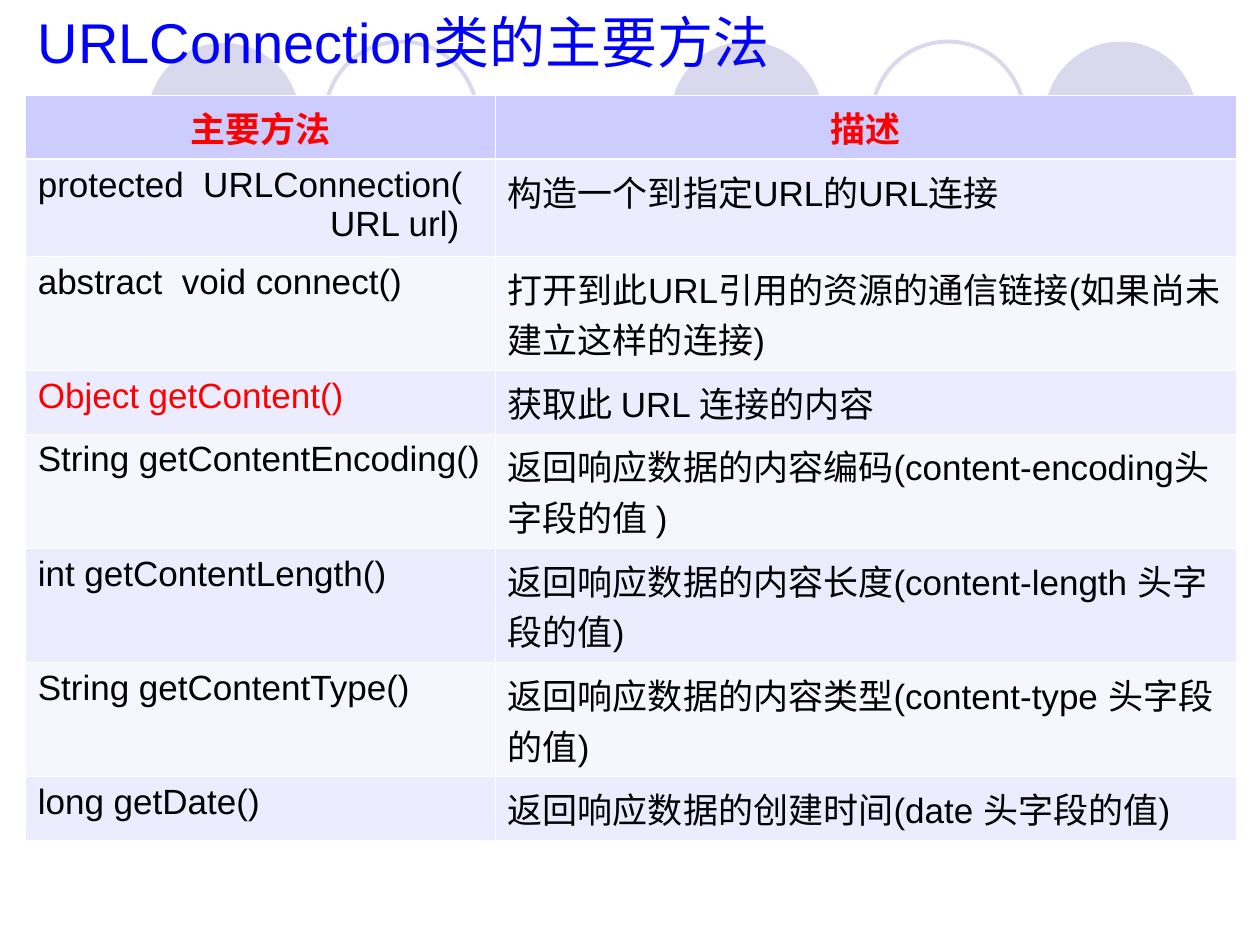
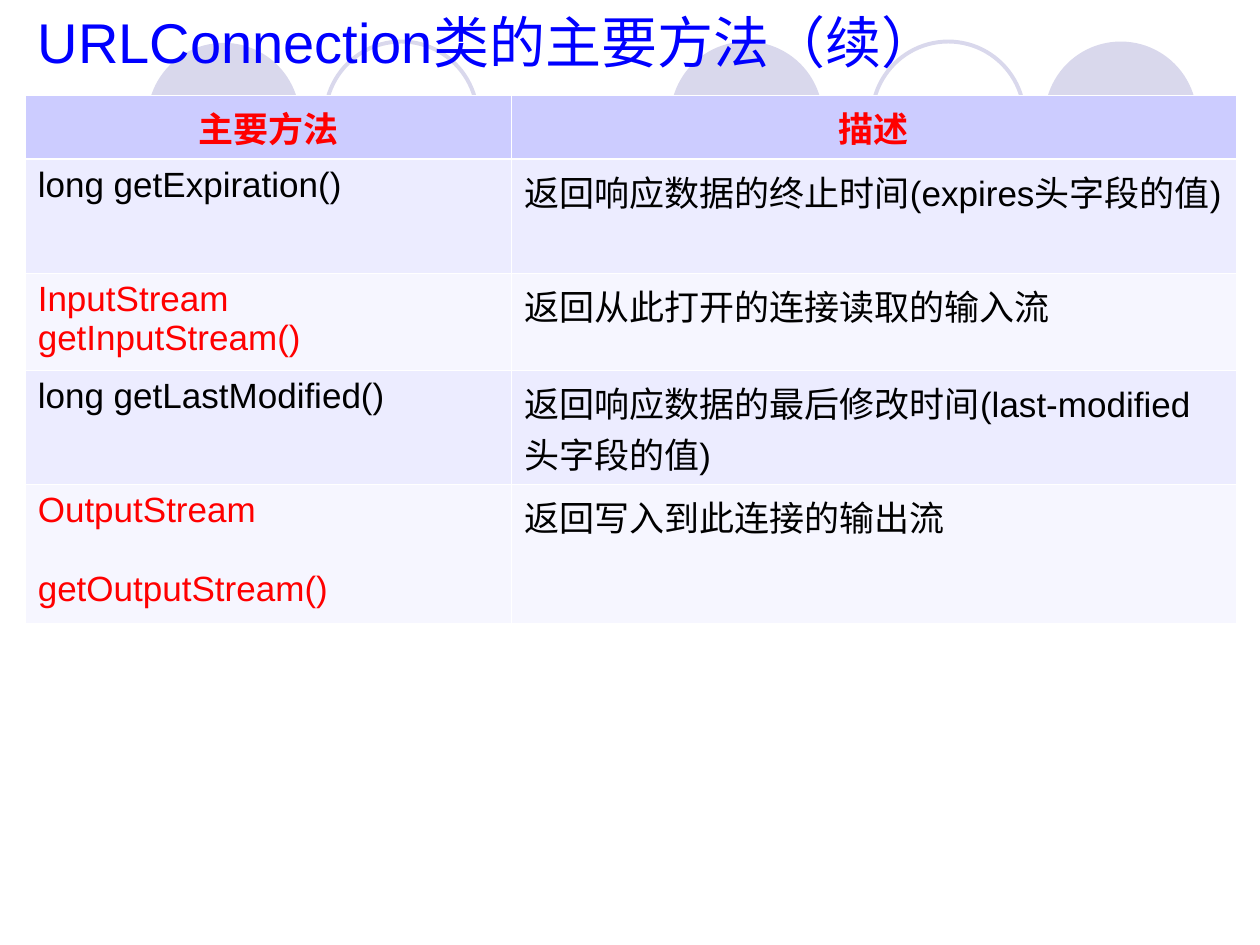
from lxml import etree
from pptx import Presentation
from pptx.dml.color import RGBColor
from pptx.enum.shapes import MSO_SHAPE
from pptx.enum.text import MSO_ANCHOR, MSO_AUTO_SIZE, PP_ALIGN
from pptx.oxml.ns import qn
from pptx.util import Inches, Pt

OVAL = MSO_SHAPE.OVAL
MIDDLE = MSO_ANCHOR.MIDDLE
NO_AUTOFIT = MSO_AUTO_SIZE.NONE
LEFT, CENTER = PP_ALIGN.LEFT, PP_ALIGN.CENTER

BLUE, RED, BLACK, WHITE = "0000FF", "FF0000", "000000", "FFFFFF"
CIRCLE, HEADER, BANDS = "D9D8EC", "CCCCFF", ("ECECFF", "F6F6FF")
FONT = "Arial"
SIDE, CONTENT_WIDTH = 0.2, 9.61
ONE_LINE, TWO_LINES, THREE_LINES = 0.43, 0.77, 1.1
THIN, THICK = 0.45, 1.47
HEADINGS = ("主要方法", "描述")
CIRCLES = [(5.32, 0.33, True), (8.29, 0.33, True), (1.17, 0.34, True),
           (6.92, 0.33, False), (2.58, 0.33, False)]


def color(hex_string):
    return RGBColor.from_string(hex_string)


class Slides:
    def __init__(self):
        self.deck = Presentation()
        self.deck.slide_width, self.deck.slide_height = Inches(10), Inches(7.5)
        self.layout = self.deck.slide_layouts[5]
        self.page = None

    def add_page(self, title):
        self.page = self.deck.slides.add_slide(self.layout)
        box = self.page.shapes.title
        box.left, box.top = Inches(SIDE), Inches(0.05)
        box.width, box.height = Inches(CONTENT_WIDTH), Inches(0.55)
        frame = box.text_frame
        frame.auto_size = NO_AUTOFIT
        frame.vertical_anchor = MIDDLE
        frame.text = title
        self.style(frame.paragraphs[0], 32, BLUE)

    def style(self, para, size, hex_color, bold=False, align=LEFT):
        para.alignment = align
        font = para.font
        font.name, font.size, font.bold = FONT, Pt(size), bold
        font.color.rgb = color(hex_color)

    def share_circles(self):
        for left, top, filled in CIRCLES:
            circle = self.page.shapes.add_shape(
                OVAL, Inches(left), Inches(top), Inches(1.21), Inches(1.21))
            circle.shadow.inherit = False
            if filled:
                circle.fill.solid()
                circle.fill.fore_color.rgb = color(CIRCLE)
                circle.line.fill.background()
            else:
                circle.fill.background()
                circle.line.color.rgb = color(CIRCLE)
                circle.line.width = Pt(2.25)
            self.layout.shapes.element.append(circle.element)

    def add_borders(self, cell, top, bottom):
        properties = cell._tc.get_or_add_tcPr()
        for side, width in (("L", THIN), ("R", THIN), ("T", top), ("B", bottom)):
            line = etree.SubElement(properties, qn(f"a:ln{side}"), w=str(Pt(width)))
            fill = etree.SubElement(line, qn("a:solidFill"))
            etree.SubElement(fill, qn("a:srgbClr"), val=WHITE)

    def fill_cell(self, cell, text, row, hex_color):
        is_header = row == 0
        self.add_borders(cell, THICK if row == 1 else THIN, THICK if is_header else THIN)
        cell.fill.solid()
        cell.fill.fore_color.rgb = color(HEADER if is_header else BANDS[(row - 1) % 2])
        cell.text = text
        for para in cell.text_frame.paragraphs:
            self.style(para, 20, hex_color, is_header, CENTER if is_header else LEFT)

    def add_methods(self, method_width, methods):
        rows = [(*HEADINGS, ONE_LINE, RED), *methods]
        height = sum(row[2] for row in rows)
        table = self.page.shapes.add_table(
            len(rows), 2, Inches(SIDE), Inches(0.76),
            Inches(CONTENT_WIDTH), Inches(height)).table
        table.columns[0].width = Inches(method_width)
        table.columns[1].width = Inches(CONTENT_WIDTH - method_width)
        for index, (method, description, row_height, method_color) in enumerate(rows):
            table.rows[index].height = Inches(row_height)
            self.fill_cell(table.cell(index, 0), method, index, method_color)
            self.fill_cell(table.cell(index, 1), description, index,
                           BLACK if index else RED)
        return table


def main():
    slides = Slides()
    slides.add_page("URLConnection类的主要方法")
    slides.share_circles()
    table = slides.add_methods(3.73, [
        ("protected  URLConnection(\nURL url)", "构造一个到指定URL的URL连接", TWO_LINES, BLACK),
        ("abstract  void connect()",
         "打开到此URL引用的资源的通信链接(如果尚未建立这样的连接)", TWO_LINES, BLACK),
        ("Object getContent()", "获取此 URL 连接的内容", ONE_LINE, RED),
        ("String getContentEncoding()",
         "返回响应数据的内容编码(content-encoding头字段的值 )", TWO_LINES, BLACK),
        ("int getContentLength()",
         "返回响应数据的内容长度(content-length 头字段的值)", TWO_LINES, BLACK),
        ("String getContentType()",
         "返回响应数据的内容类型(content-type 头字段的值)", TWO_LINES, BLACK),
        ("long getDate()", "返回响应数据的创建时间(date 头字段的值)", ONE_LINE, BLACK),
    ])
    argument = table.cell(1, 0).text_frame.paragraphs[1]
    argument._p.get_or_add_pPr().set("marL", str(Inches(2.32)))

    slides.add_page("URLConnection类的主要方法（续）")
    table = slides.add_methods(3.86, [
        ("long getExpiration()", "返回响应数据的终止时间(expires头字段的值)", TWO_LINES, BLACK),
        ("InputStream getInputStream()", "返回从此打开的连接读取的输入流", TWO_LINES, RED),
        ("long getLastModified()",
         "返回响应数据的最后修改时间(last-modified 头字段的值)", TWO_LINES, BLACK),
        ("OutputStream\ngetOutputStream()", "返回写入到此连接的输出流", THREE_LINES, RED),
    ])
    table.cell(4, 0).text_frame.paragraphs[1].space_before = Pt(22.5)

    slides.deck.save("out.pptx")


if __name__ == "__main__":
    main()
